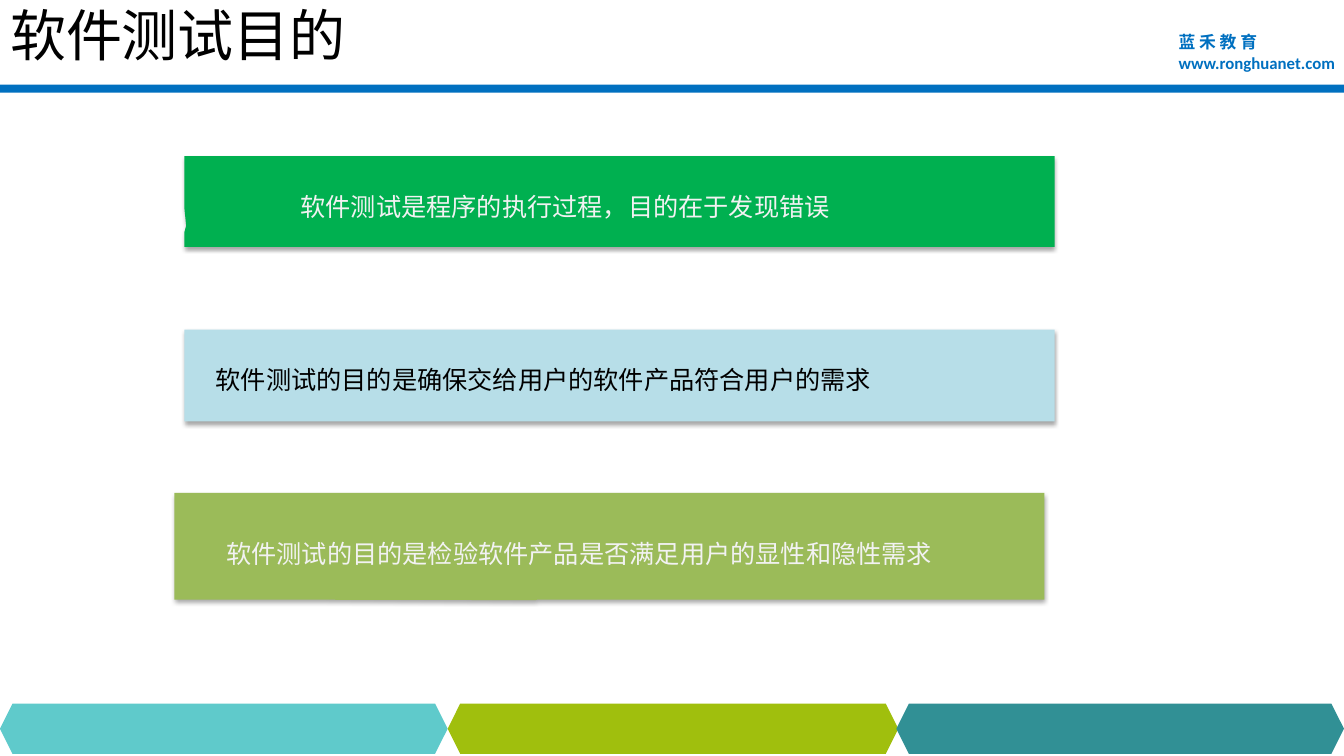
from lxml import etree
from pptx import Presentation
from pptx.dml.color import RGBColor
from pptx.enum.shapes import MSO_SHAPE as Shape
from pptx.enum.text import MSO_ANCHOR as Anchor, MSO_AUTO_SIZE as AutoSize, PP_ALIGN as Align
from pptx.oxml.ns import qn
from pptx.util import Inches, Pt

COLORS = {
    "blue": "0070C0", "black": "000000", "pale": "F2F2F2",
    "green": "00B050", "sky": "B7DEE8", "olive": "9BBB59",
    "aqua": "5FCACB", "lime": "A0BF0D", "teal": "319095",
}
CJK = "Noto Sans CJK SC"


class SlideBuilder:
    def __init__(self, slide):
        self.slide = slide

    def format_runs(self, paragraph, size, color, font=CJK, bold=False):
        for run in paragraph.runs:
            run.font.size, run.font.bold, run.font.name = Pt(size), bold, font
            run.font.color.rgb = RGBColor.from_string(COLORS[color])
            east_asian = etree.SubElement(run.font._element, qn("a:ea"))
            east_asian.set("typeface", CJK)

    def title(self, text, box):
        title = self.slide.shapes.title
        title.left, title.top, title.width, title.height = map(Inches, box)
        frame = title.text_frame
        frame.text = text
        frame.auto_size = AutoSize.NONE
        frame.vertical_anchor = Anchor.MIDDLE
        frame.paragraphs[0].alignment = Align.LEFT
        self.format_runs(frame.paragraphs[0], 40, "black", "Arial")

    def shape(self, kind, box, color):
        shape = self.slide.shapes.add_shape(kind, *map(Inches, box))
        shape.shadow.inherit = False
        shape.fill.solid()
        shape.fill.fore_color.rgb = RGBColor.from_string(COLORS[color])
        shape.line.fill.background()
        return shape

    def callout(self, box, color, tail):
        callout = self.shape(Shape.RECTANGULAR_CALLOUT, box, color)
        callout.adjustments[0], callout.adjustments[1] = tail
        # Soft shadow straight below
        effects = callout._element.spPr.find(qn("a:effectLst"))
        shadow = etree.SubElement(effects, qn("a:outerShdw"), blurRad=str(Pt(3.1)),
                                  dist=str(Pt(1.8)), dir="5400000", rotWithShape="0")
        black = etree.SubElement(shadow, qn("a:srgbClr"), val=COLORS["black"])
        etree.SubElement(black, qn("a:alpha"), val="35000")

    def text(self, box, lines, size, color, align=Align.LEFT, spacing=1.0):
        """Each line is a (text, font, bold) tuple."""
        frame = self.slide.shapes.add_textbox(*map(Inches, box)).text_frame
        frame.word_wrap = True
        frame.text = "\n".join(line[0] for line in lines)
        for paragraph, (_, font, bold) in zip(frame.paragraphs, lines):
            paragraph.alignment = align
            paragraph.line_spacing = spacing
            self.format_runs(paragraph, size, color, font, bold)


def main():
    prs = Presentation()
    prs.slide_width, prs.slide_height = Inches(13.33), Inches(7.5)
    builder = SlideBuilder(prs.slides.add_slide(prs.slide_layouts[5]))

    # Header
    builder.shape(Shape.RECTANGLE, (0, 0.84, 13.33, 0.08), "blue")
    builder.text((11.59, 0.27, 1.82, 0.5),
                 [("蓝 禾 教 育", CJK, True), ("www.ronghuanet.com", "Calibri", True)],
                 12, "blue")
    builder.title("软件测试目的", (0, -0.01, 10, 0.7))

    # Footer band
    for left, width, color in ((0, 4.44, "aqua"), (4.44, 4.47, "lime"), (8.89, 4.44, "teal")):
        builder.shape(Shape.HEXAGON, (left, 6.98, width, 0.5), color)

    # Purposes: callout box, fill, tail, text box, text colour, alignment, wording
    purposes = (
        ((1.83, 1.55, 8.63, 0.9), "green", (-0.498, 0.266), (2.04, 1.79, 7.13, 0.46),
         "pale", Align.CENTER, "软件测试是程序的执行过程，目的在于发现错误"),
        ((1.83, 3.27, 8.63, 0.91), "sky", (-0.5, 0.345), (2.04, 3.51, 6.79, 0.46),
         "black", Align.JUSTIFY, "软件测试的目的是确保交给用户的软件产品符合用户的需求"),
        ((1.73, 4.89, 8.63, 1.06), "olive", (-0.085, 0.504), (2.01, 5.23, 7.47, 0.46),
         "pale", Align.CENTER, "软件测试的目的是检验软件产品是否满足用户的显性和隐性需求"),
    )
    for box, fill, tail, text_box, color, align, wording in purposes:
        builder.callout(box, fill, tail)
        builder.text(text_box, [(wording, CJK, False)], 18, color, align, 1.2)

    prs.save("out.pptx")


if __name__ == "__main__":
    main()
